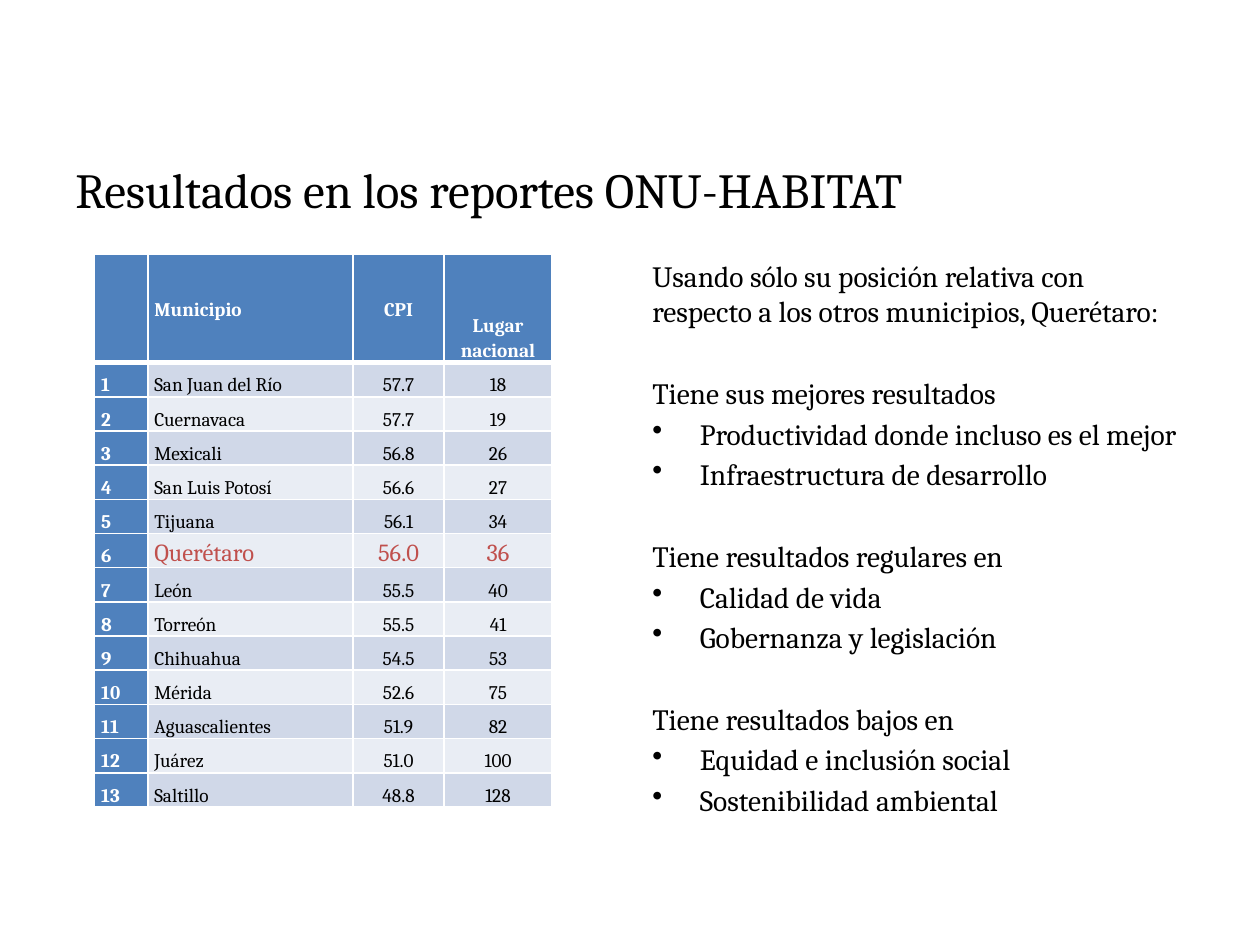
import pptx
import pptx.util
import pptx.dml.color
import pptx.enum.text
import pptx.oxml

Cm = pptx.util.Cm
Pt = pptx.util.Pt
Align = pptx.enum.text.PP_ALIGN
Anchor = pptx.enum.text.MSO_ANCHOR

HUES = {
    "ink": "000000",
    "white": "FFFFFF",
    "head": "4F81BD",
    "odd": "D0D8E8",
    "even": "E9EDF4",
    "mark": "C0504D",
}
TITLE = "Resultados en los reportes ONU-HABITAT"
HEADS = ("", "Municipio", "CPI", "Lugar nacional")
TOWNS = (
    ("San Juan del Río", "57.7", "18"),
    ("Cuernavaca", "57.7", "19"),
    ("Mexicali", "56.8", "26"),
    ("San Luis Potosí", "56.6", "27"),
    ("Tijuana", "56.1", "34"),
    ("Querétaro", "56.0", "36"),
    ("León", "55.5", "40"),
    ("Torreón", "55.5", "41"),
    ("Chihuahua", "54.5", "53"),
    ("Mérida", "52.6", "75"),
    ("Aguascalientes", "51.9", "82"),
    ("Juárez", "51.0", "100"),
    ("Saltillo", "48.8", "128"),
)
FOCUS = "Querétaro"
INTRO = "Usando sólo su posición relativa con respecto a los otros municipios, Querétaro:"
GROUPS = {
    "Tiene sus mejores resultados": (
        "Productividad donde incluso es el mejor",
        "Infraestructura de desarrollo",
    ),
    "Tiene resultados regulares en": ("Calidad de vida", "Gobernanza y legislación"),
    "Tiene resultados bajos en": ("Equidad e inclusión social", "Sostenibilidad ambiental"),
}
WIDTHS = (1.07, 4.14, 1.83, 2.18)
TALL, LOW = 2.18, 0.69


def apply(item, values):
    for name, value in values.items():
        setattr(item, name, value)


def color(hue):
    return pptx.dml.color.RGBColor.from_string(HUES[hue])


class Deck:
    face = "Cambria"

    def __init__(self, width, height):
        self.file = pptx.Presentation()
        apply(self.file, {"slide_width": Cm(width), "slide_height": Cm(height)})
        self.slide = self.file.slides.add_slide(self.file.slide_layouts[6])

    def label(self, para, text, size, hue="ink", bold=False, **form):
        apply(para, form)
        if text:
            run = para.add_run()
            run.text = text
            apply(run.font, {"name": self.face, "size": Pt(size), "bold": bold})
            run.font.color.rgb = color(hue)

    def box(self, left, top, width, height, anchor):
        shape = self.slide.shapes.add_textbox(Cm(left), Cm(top), Cm(width), Cm(height))
        frame = shape.text_frame
        apply(frame, {"word_wrap": True, "vertical_anchor": anchor})
        return frame

    def title(self, text):
        frame = self.box(1.27, 2.54, 22.86, 2.54, Anchor.MIDDLE)
        self.label(frame.paragraphs[0], text, 28)

    def bullet(self, para):
        props = para._p.get_or_add_pPr()
        props.set("marL", str(Cm(0.96)))
        props.set("indent", str(Cm(-0.96)))
        props.append(pptx.oxml.parse_xml(
            '<a:buChar xmlns:a="http://schemas.openxmlformats.org/drawingml/2006/main" char="•"/>'))

    def points(self, intro, groups):
        frame = self.box(12.9, 5.08, 11.23, 11.94, Anchor.TOP)
        self.label(frame.paragraphs[0], intro, 16.8, space_before=Pt(3))
        for lead, items in groups.items():
            self.label(frame.add_paragraph(), lead, 16.8, space_before=Pt(26.5))
            for item in items:
                para = frame.add_paragraph()
                self.label(para, item, 16.8, space_before=Pt(3))
                self.bullet(para)

    def edges(self, cell, base):
        props = cell._tc.get_or_add_tcPr()
        for side, size in {"L": 1, "R": 1, "T": 1, "B": base}.items():
            props.append(pptx.oxml.parse_xml(
                f'<a:ln{side} xmlns:a="http://schemas.openxmlformats.org/drawingml/2006/main" '
                f'w="{Pt(size)}"><a:solidFill><a:srgbClr val="{HUES["white"]}"/>'
                f'</a:solidFill></a:ln{side}>'))

    def cell(self, cell, text, fill, center, anchor, base=1, **style):
        apply(cell, {
            "margin_left": Cm(0.13), "margin_right": Cm(0.13),
            "margin_top": 0, "margin_bottom": 0, "vertical_anchor": anchor,
        })
        self.edges(cell, base)
        cell.fill.solid()
        cell.fill.fore_color.rgb = color(fill)
        align = Align.CENTER if center else Align.LEFT
        self.label(cell.text_frame.paragraphs[0], text,
                   alignment=align, line_spacing=1.15, **style)

    def table(self, heads, towns):
        count = len(towns)
        grid = self.slide.shapes.add_table(
            count + 1, len(heads), Cm(1.91), Cm(5.13),
            Cm(sum(WIDTHS)), Cm(TALL + count * LOW)).table
        apply(grid, {"first_row": False, "horz_banding": False})
        for col, width in zip(grid.columns, WIDTHS):
            col.width = Cm(width)
        for row, line in enumerate(grid.rows):
            line.height = Cm(LOW if row else TALL)
        strong = {"size": 11, "hue": "white", "bold": True}
        for col, text in enumerate(heads):
            anchor = Anchor.BOTTOM if col == 3 else Anchor.MIDDLE
            self.cell(grid.cell(0, col), text, "head", col > 1, anchor, 3, **strong)
        for row, town in enumerate(towns, 1):
            focus = town[0] == FOCUS
            plain = {"size": 14 if focus else 11, "hue": "mark" if focus else "ink"}
            band = "odd" if row % 2 else "even"
            for col, text in enumerate((str(row), *town)):
                fill, style = (band, plain) if col else ("head", strong)
                self.cell(grid.cell(row, col), text, fill, col > 1, Anchor.BOTTOM, **style)


def main():
    deck = Deck(25.4, 19.05)
    deck.title(TITLE)
    deck.table(HEADS, TOWNS)
    deck.points(INTRO, GROUPS)
    deck.file.save("out.pptx")


if __name__ == "__main__":
    main()
